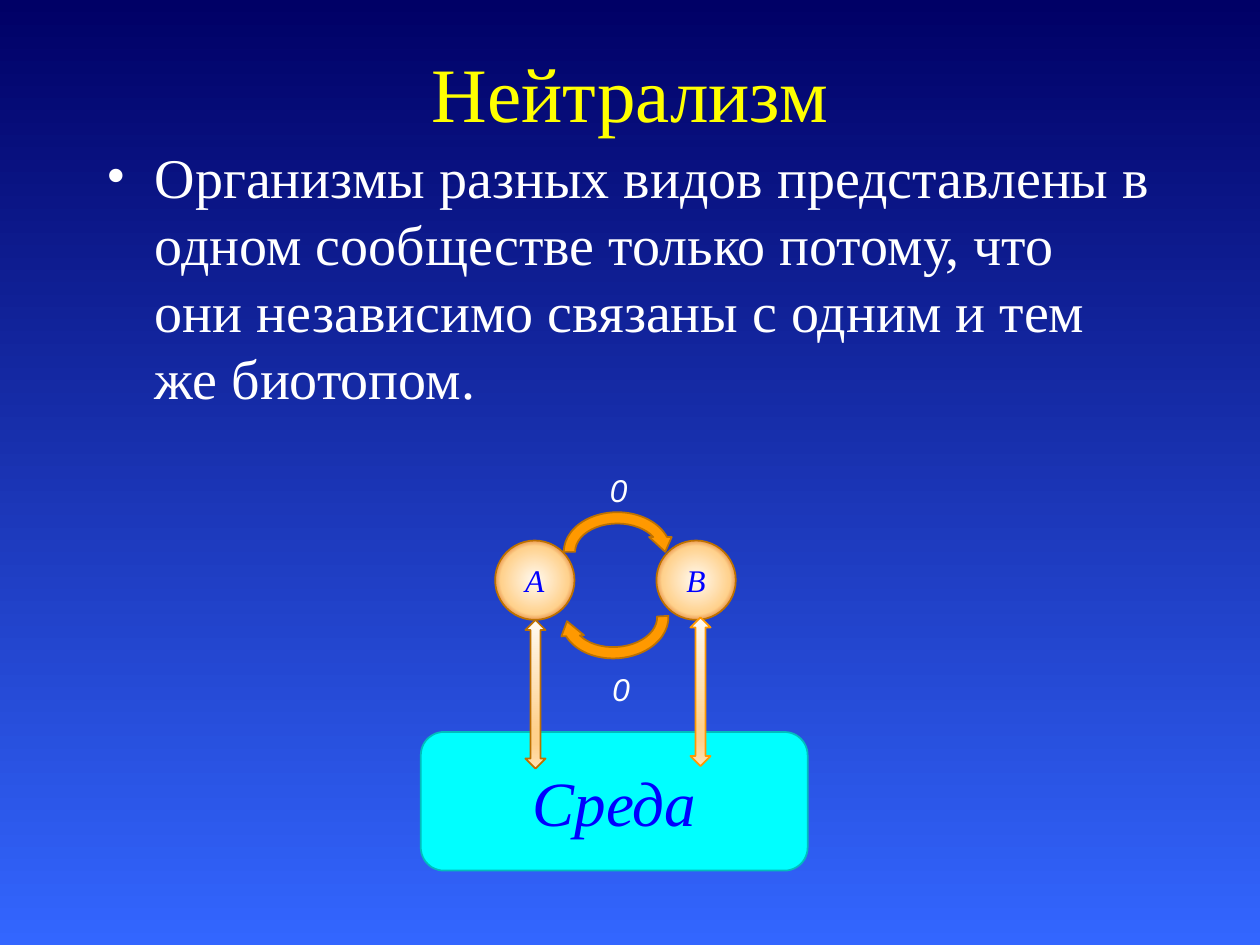
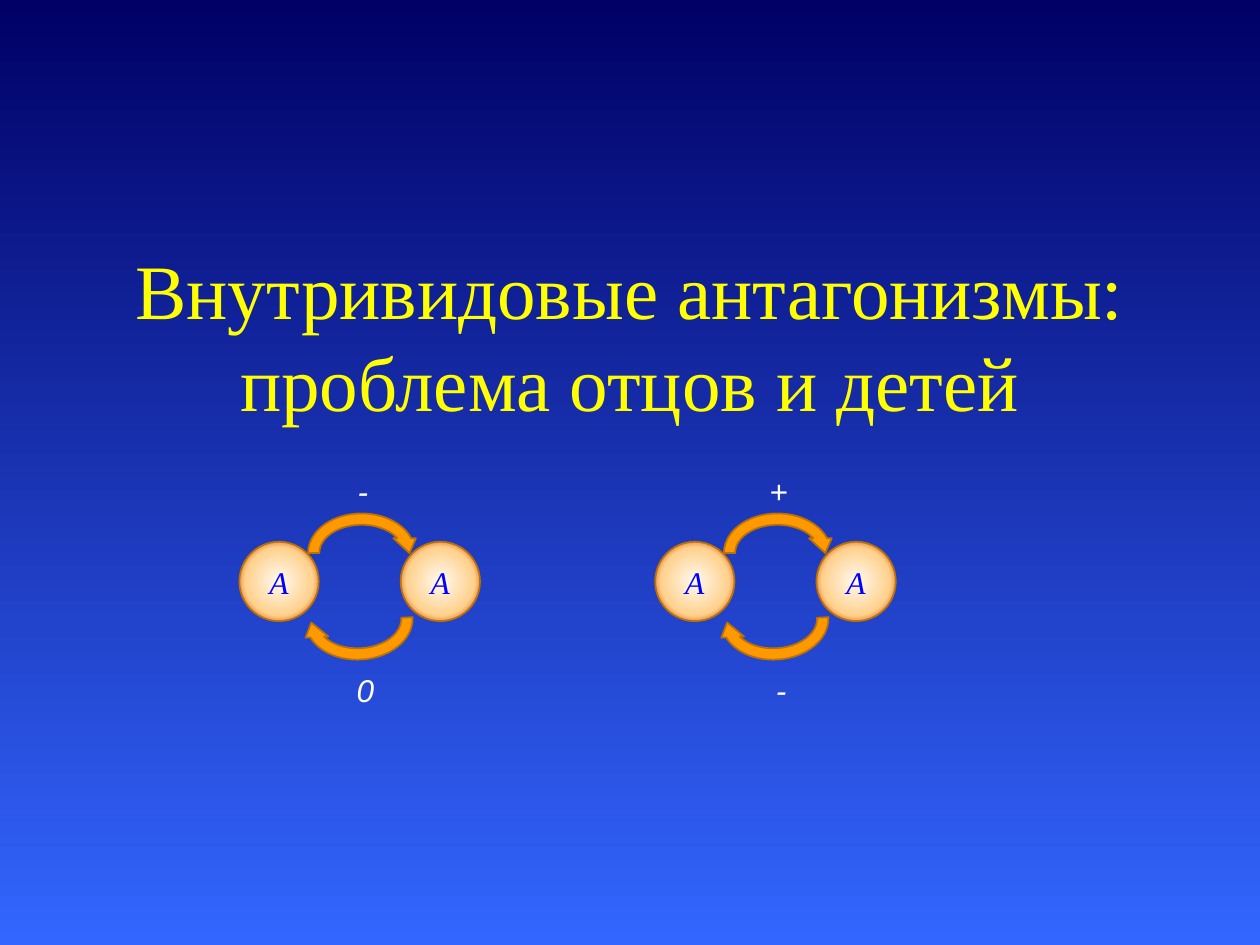
from lxml import etree
from pptx import Presentation
from pptx.dml.color import RGBColor
from pptx.enum.shapes import MSO_SHAPE
from pptx.enum.text import MSO_ANCHOR, MSO_AUTO_SIZE, PP_ALIGN
from pptx.oxml.ns import qn
from pptx.util import Inches, Pt

ELLIPSE = MSO_SHAPE.OVAL
ROUNDED = MSO_SHAPE.ROUNDED_RECTANGLE
CURVED_ARROW = MSO_SHAPE.CIRCULAR_ARROW
DOUBLE_ARROW = MSO_SHAPE.UP_DOWN_ARROW
TOP, MIDDLE = MSO_ANCHOR.TOP, MSO_ANCHOR.MIDDLE
LEFT, CENTER = PP_ALIGN.LEFT, PP_ALIGN.CENTER
FIT_TEXT = MSO_AUTO_SIZE.SHAPE_TO_FIT_TEXT

SERIF, SANS = "Times New Roman", "Arial"
YELLOW, WHITE, BLUE, CYAN, TEAL = "FFFF00", "FFFFFF", "0000FF", "00FFFF", "00BDBD"
ORANGE, BROWN = "FF9900", "BD7100"
BACKDROP = [(0, "000066"), (100, "3366FF")]
ORGANISM_FILL = [(0, "FFFAF2"), (61, "FFD18C"), (84, "D45000"), (100, "FFE0B2")]
LINK_FILL = [(0, "FFFAF2"), (74, "FFD18C"), (83, "FFD18C"), (100, "FFE0B2")]

TITLE = {"name": SERIF, "size": Pt(44), "color": YELLOW}
BODY = {"name": SERIF, "size": Pt(32), "color": WHITE}
ORGANISM = {"name": SERIF, "size": Pt(18), "color": BLUE, "italic": True}
HABITAT = {"name": SERIF, "size": Pt(36), "color": BLUE, "italic": True}
EFFECT = {"name": SANS, "size": Pt(18), "color": WHITE, "italic": True}


def rgb(value):
    """Turn a hex string into a colour."""
    return RGBColor.from_string(value)


def paint_gradient(fill, element, stops, circular=False):
    """Fill with colour stops, running downwards or out from the centre."""
    fill.gradient()
    gradient = element.find(".//" + qn("a:gradFill"))
    gradient.clear()
    gradient.set("rotWithShape", "1")
    stop_list = etree.SubElement(gradient, qn("a:gsLst"))
    for position, color in stops:
        stop = etree.SubElement(stop_list, qn("a:gs"), pos=str(position * 1000))
        etree.SubElement(stop, qn("a:srgbClr"), val=color)
    if circular:
        shade = etree.SubElement(gradient, qn("a:path"), {"path": "circle"})
        sides = dict.fromkeys("ltrb", "50000")
        etree.SubElement(shade, qn("a:fillToRect"), sides)
    else:
        etree.SubElement(gradient, qn("a:lin"), ang="5400000", scaled="0")


class SlideBuilder:
    """Holds the deck style and draws on the current slide."""

    def __init__(self, deck):
        """Start with a deck and no slide."""
        self.deck = deck
        self.page = None

    def new_slide(self, title, title_top):
        """Add a slide with the shared background and title style."""
        self.page = self.deck.slides.add_slide(self.deck.slide_layouts[6])
        paint_gradient(self.page.background.fill, self.page.element, BACKDROP)
        self.text(self.page.shapes, (0.75, title_top, 8.5, 1.25), title, TITLE, anchor=MIDDLE)

    def set_text(self, box, text, style, align=CENTER, anchor=MIDDLE):
        """Put one styled paragraph into a box."""
        frame = box.text_frame
        frame.word_wrap = True
        frame.vertical_anchor = anchor
        para = frame.paragraphs[0]
        para.alignment = align
        span = para.add_run()
        span.text = text
        for key, value in style.items():
            if key == "color":
                span.font.color.rgb = rgb(value)
            else:
                setattr(span.font, key, value)

    def text(self, shapes, area, text, style, align=CENTER, anchor=TOP):
        """Add a text box."""
        box = shapes.add_textbox(*map(Inches, area))
        self.set_text(box, text, style, align, anchor)
        return box

    def bullet(self, area, text):
        """Add a bulleted body text."""
        box = self.text(self.page.shapes, area, text, BODY, LEFT)
        properties = box.text_frame.paragraphs[0]._p.get_or_add_pPr()
        properties.set("marL", str(Inches(0.38)))
        properties.set("indent", str(-Inches(0.38)))
        etree.SubElement(properties, qn("a:buFont"), typeface=SERIF)
        etree.SubElement(properties, qn("a:buChar"), char="•")

    def shape(self, shapes, kind, area, fill, line=BROWN, rotation=0):
        """Add a preset shape with a solid or gradient fill."""
        shape = shapes.add_shape(kind, *map(Inches, area))
        shape.shadow.inherit = False
        shape.rotation = rotation
        if isinstance(fill, str):
            shape.fill.solid()
            shape.fill.fore_color.rgb = rgb(fill)
        else:
            paint_gradient(shape.fill, shape.element, fill, kind == ELLIPSE)
        shape.line.color.rgb = rgb(line)
        shape.line.width = Pt(1)
        return shape

    def interaction(self, left, top, organisms, upper_effect, lower_effect):
        """Draw two organisms with the effects they have on each other."""
        shapes = self.page.shapes.add_group_shape().shapes
        for index, name in enumerate(organisms):
            area = (left + index * 1.28, top, 0.63, 0.63)
            self.set_text(self.shape(shapes, ELLIPSE, area, ORGANISM_FILL), name, ORGANISM)
        for across, down, rotation in ((0.5, -0.27, 0), (0.48, 0.26, 177)):
            area = (left + across, top + down, 0.94, 0.72)
            self.shape(shapes, CURVED_ARROW, area, ORANGE, rotation=rotation)
        for across, down, effect in ((0.69, 0.98, lower_effect), (0.67, -0.6, upper_effect)):
            area = (left + across, top + down, 0.62, 0.4)
            label = self.text(shapes, area, effect, EFFECT)
            label.text_frame.auto_size = FIT_TEXT

    def habitat(self, area, text):
        """Draw the environment block."""
        block = self.shape(self.page.shapes, ROUNDED, area, CYAN, TEAL)
        self.set_text(block, text, HABITAT)

    def habitat_link(self, left, top, line):
        """Draw a two-way arrow between an organism and its environment."""
        self.shape(self.page.shapes, DOUBLE_ARROW, (left, top, 0.16, 1.18), LINK_FILL, line)


def main():
    """Build both slides and save the deck."""
    deck = Presentation()
    deck.slide_width, deck.slide_height = Inches(10), Inches(7.5)
    builder = SlideBuilder(deck)

    builder.new_slide("Нейтрализм", 0.1)
    builder.bullet(
        (0.75, 1.08, 8.5, 4.5),
        "Организмы разных видов представлены в одном сообществе только потому, "
        "что они независимо связаны с одним и тем же биотопом.",
    )
    builder.interaction(3.93, 4.29, "AB", "0", "0")
    builder.habitat((3.34, 5.81, 3.07, 1.1), "Среда")
    builder.habitat_link(4.17, 4.92, BROWN)
    builder.habitat_link(5.48, 4.9, ORANGE)

    builder.new_slide("Внутривидовые антагонизмы: проблема отцов и детей", 2.03)
    builder.interaction(1.9, 4.3, "AA", "-", "0")
    builder.interaction(5.2, 4.3, "AA", "+", "-")

    deck.save("out.pptx")


if __name__ == "__main__":
    main()
